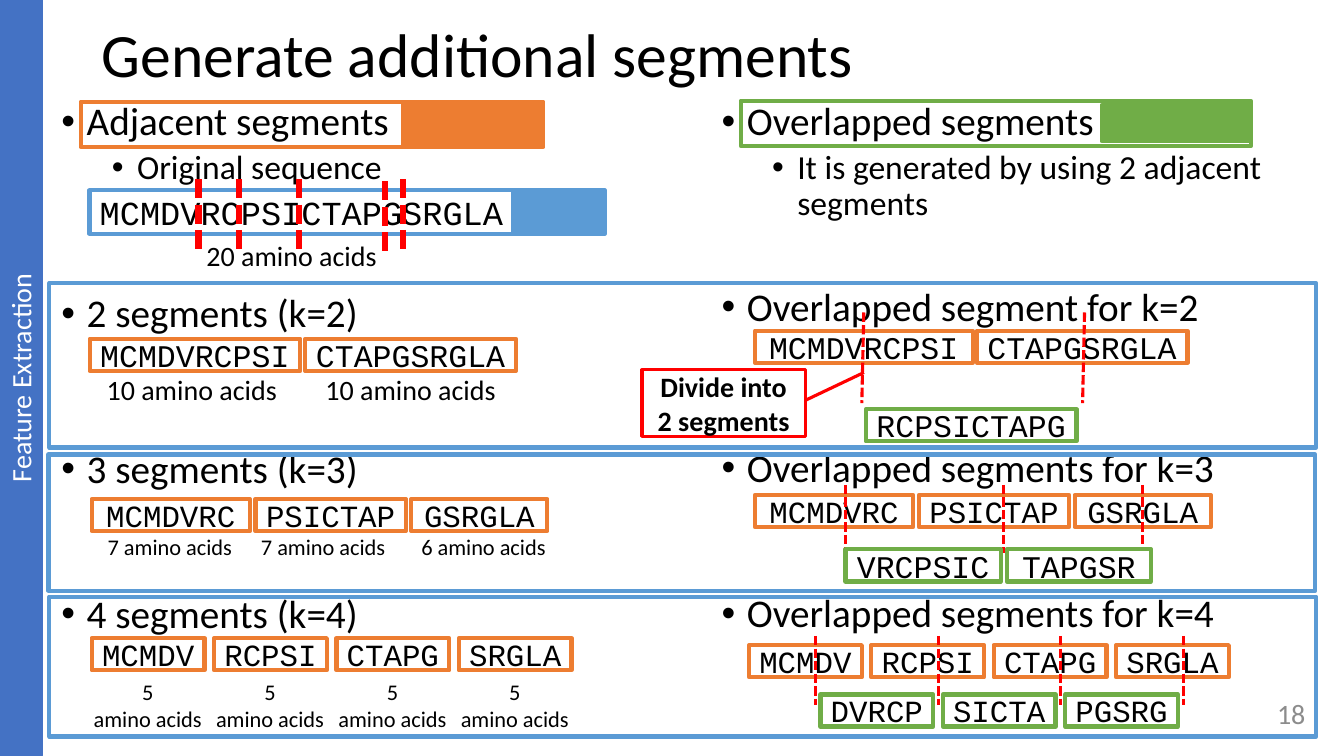
from lxml import etree
from pptx import Presentation
from pptx import util as u
from pptx.dml.color import RGBColor
from pptx.enum import dml, shapes, text
from pptx.oxml import ns

COLORS = {
    "black": "000000", "white": "FFFFFF", "gray": "8C8C8C", "sidebar": "4472C4",
    "sequence": "5B9BD5", "adjacent": "ED7D31", "overlap": "70AD47", "cut": "FF0000",
}
BODY, CODE = "Calibri", "Courier New"
LEFT, CENTER, RIGHT = text.PP_ALIGN.LEFT, text.PP_ALIGN.CENTER, text.PP_ALIGN.RIGHT
TOP, MIDDLE = text.MSO_ANCHOR.TOP, text.MSO_ANCHOR.MIDDLE
RECT = shapes.MSO_SHAPE.RECTANGLE


class SegmentSlide:
    """Draws the elements of the segment slide; all lengths are in points."""

    def __init__(self, deck):
        self.slide = deck.slides.add_slide(deck.slide_layouts[3])
        for holder in list(self.slide.placeholders):
            if holder.placeholder_format.idx > 2:
                holder._element.getparent().remove(holder._element)

    def rgb(self, name):
        return RGBColor.from_string(COLORS[name])

    def style(self, paragraph, color="black", **values):
        for key, value in values.items():
            setattr(paragraph.font, key, value)
        paragraph.font.color.rgb = self.rgb(color)

    def fill_text(self, frame, wording, size, align=LEFT, anchor=TOP, font=BODY,
                  color="black", bold=False, inset=7.2):
        layout = {"word_wrap": True, "vertical_anchor": anchor,
                  "margin_left": u.Pt(inset), "margin_right": u.Pt(inset)}
        for key, value in layout.items():
            setattr(frame, key, value)
        frame.text = wording
        for paragraph in frame.paragraphs:
            paragraph.alignment = align
            self.style(paragraph, color, name=font, size=u.Pt(size), bold=bold)

    def place(self, holder, left, top, width, height):
        frame = {"left": left, "top": top, "width": width, "height": height}
        for key, value in frame.items():
            setattr(holder, key, u.Pt(value))

    def title(self, wording, *place):
        heading = self.slide.shapes.title
        self.place(heading, *place)
        self.fill_text(heading.text_frame, wording, 44, anchor=MIDDLE)
        heading.text_frame.auto_size = text.MSO_AUTO_SIZE.NONE
        heading.text_frame.paragraphs[0].line_spacing = 0.9

    def bullets(self, idx, place, items):
        body = self.slide.placeholders[idx]
        self.place(body, *place)
        frame = body.text_frame
        frame.auto_size = text.MSO_AUTO_SIZE.NONE
        frame.text = "\n".join(wording for wording, _, _ in items)
        for paragraph, (_, level, before) in zip(frame.paragraphs, items):
            properties = paragraph._p.get_or_add_pPr()
            properties.set("marL", str(u.Pt(18 + 36 * level)))
            properties.set("indent", str(u.Pt(-18)))
            for tag, key, value in (("a:buFont", "typeface", "Arial"),
                                    ("a:buChar", "char", "•")):
                etree.SubElement(properties, ns.qn(tag)).set(key, value)
            spacing = {"level": level, "line_spacing": 0.9, "space_before": u.Pt(before)}
            for key, value in spacing.items():
                setattr(paragraph, key, value)
            self.style(paragraph, name=BODY, size=u.Pt(28 - 4 * level))

    def label(self, wording, place, size, **values):
        box = self.slide.shapes.add_textbox(*map(u.Pt, place))
        self.fill_text(box.text_frame, wording, size, **values)
        box.text_frame.margin_right = u.Pt(7.2 if values else 0)

    def box(self, place, edge, fill=None, weight=3, kind=RECT):
        shape = self.slide.shapes.add_shape(kind, *map(u.Pt, place))
        shape.shadow.inherit = False
        if fill:
            shape.fill.solid()
            shape.fill.fore_color.rgb = self.rgb(fill)
        else:
            shape.fill.background()
        shape.line.color.rgb = self.rgb(edge)
        shape.line.width = u.Pt(weight)
        return shape

    def row(self, left, top, segments, widths, gap, edge, size=22, height=23):
        for segment, width in zip(segments, widths):
            box = self.box((left, top, width, height), edge, "white")
            self.fill_text(box.text_frame, segment, size, CENTER, MIDDLE, CODE, inset=0)
            left += width + gap

    def cuts(self, xs, top, bottom, weight=2.25, lean=0):
        for x in xs:
            cut = self.slide.shapes.add_connector(
                shapes.MSO_CONNECTOR.STRAIGHT,
                *map(u.Pt, (x, top, x - lean, bottom)))
            cut.line.color.rgb = self.rgb("cut")
            cut.line.width = u.Pt(weight)
            cut.line.dash_style = dml.MSO_LINE.SQUARE_DOT
            etree.SubElement(cut._element.spPr, ns.qn("a:effectLst"))


def main():
    deck = Presentation()
    deck.slide_width, deck.slide_height = u.Pt(960), u.Pt(540)
    page = SegmentSlide(deck)

    page.title("Generate additional segments", 65.5, 13.7, 828, 55.4)
    page.bullets(1, (36.7, 69.1, 437, 417.6), [
        ("Adjacent segments", 0, 0), ("Original sequence", 1, 4.5),
        ("2 segments (k=2)", 0, 76.5), ("3 segments (k=3)", 0, 80.7),
        ("4 segments (k=4)", 0, 73.5)])
    page.bullets(2, (508.3, 69.1, 432.7, 417.6), [
        ("Overlapped segments", 0, 0),
        ("It is generated by using 2 adjacent segments", 1, 4.5),
        ("Overlapped segment for k=2", 0, 45.8),
        ("Overlapped segments for k=3", 0, 85), ("Overlapped segments for k=4", 0, 73.5)])
    page.label("18", (723.6, 495.4, 216, 28.8), 20, align=RIGHT, anchor=MIDDLE, color="gray")

    sidebar = page.box((-255.4, 254.2, 540, 31.5), "sidebar", "sidebar", 0.75)
    sidebar.rotation = 270
    page.fill_text(sidebar.text_frame, "Feature Extraction", 20, CENTER, color="white")

    page.row(64, 136, ["MCMDVRCPSICTAPGSRGLA"], [302.5], 0, "sequence", 24, 31)
    page.label("20 amino acids", (140.4, 167, 136, 31.5), 20)

    halves = ["MCMDVRCPSI", "CTAPGSRGLA"]
    thirds, third_widths = ["MCMDVRC", "PSICTAP", "GSRGLA"], [113, 107.3, 97.2]
    quarters, quarter_widths = ["MCMDV", "RCPSI", "CTAPG", "SRGLA"], [80.6] * 4

    page.row(64, 242, halves, [150.5] * 2, 3.6, "adjacent", 22.5)
    for x in (69.1, 225.4):
        page.label("10 amino acids", (x, 262.8, 136, 31.5), 20)
    page.row(65.5, 356.4, thirds, third_widths, 4, "adjacent")
    for x, count in ((69.8, 7), (179.3, 7), (293.8, 6)):
        page.label(f"{count} amino acids", (x, 377.3, 110, 26.6), 16)
    page.row(65.5, 455.8, quarters, quarter_widths, 6.8, "adjacent")
    for number in range(4):
        page.label("5\namino acids", (58 + 87.4 * number, 480.8, 95, 46), 16, align=CENTER)

    page.row(539.3, 236.2, halves, [155.5, 150.5], 2.9, "adjacent", 22.5)
    page.cuts((617, 774.7), 223.2, 288, lean=1.4)
    callout = page.box((458.6, 264.2, 116.6, 47.5), "cut", "white", 2.25,
                       shapes.MSO_SHAPE.LINE_CALLOUT_1)
    for number, value in enumerate((0.46, 1, 0.04, 1.36)):
        callout.adjustments[number] = value
    page.fill_text(callout.text_frame, "Divide into 2 segments", 20, CENTER, MIDDLE, bold=True)
    page.row(618.5, 292.3, ["RCPSICTAPG"], [150.5], 0, "overlap", 22.5)

    page.row(539.3, 353.5, thirds, third_widths, 4, "adjacent")
    page.cuts((604, 717, 815.8), 346.3, 395.3)
    page.row(604, 392.4, ["VRCPSIC", "TAPGSR"], [110.9, 103], 4.3, "overlap", 22.5)

    page.row(535, 460.8, quarters, quarter_widths, 6.8, "adjacent")
    page.cuts([582.5 + 87.6 * number for number in range(4)], 454.3, 503.3)
    page.row(586, 496, ["DVRCP", "SICTA", "PGSRG"], quarter_widths, 6.8, "overlap")

    for left, top, height in ((35.3, 202.3, 117.4), (34.6, 324.7, 97.2), (35.3, 426.2, 100)):
        page.box((left, top, 905, height), "sequence")

    page.box((288, 74.2, 97.2, 31), "adjacent", "adjacent")
    page.box((57.6, 72.7, 330.5, 32.4), "adjacent")
    page.box((787, 74.9, 106.6, 26), "overlap", "overlap")
    page.box((529.2, 72, 364.3, 32.4), "overlap")
    page.box((367.2, 136, 64.8, 31), "sequence", "sequence")
    page.cuts((213.5, 170.6, 141.8, 288), 128.2, 180.7, 4.5)
    page.cuts((275,), 129.6, 182.9, 4.5)

    deck.save("out.pptx")


if __name__ == "__main__":
    main()
